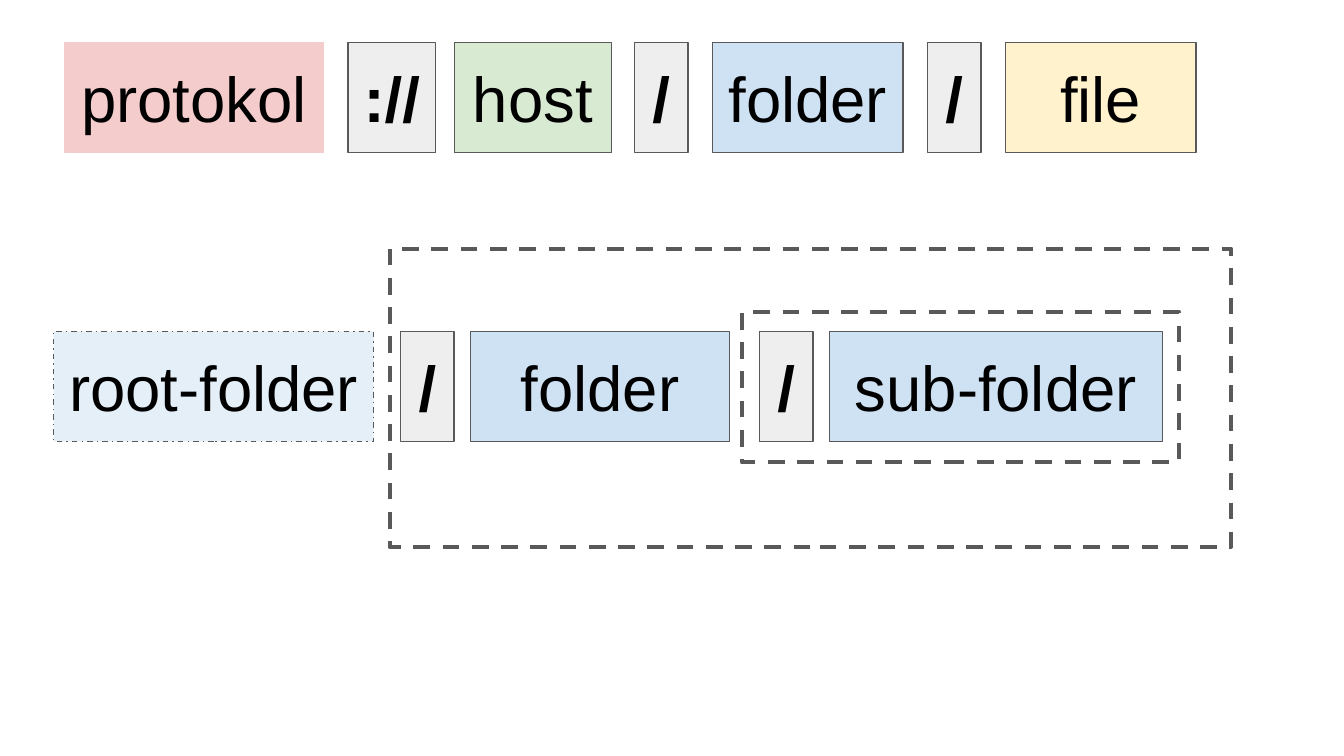
from pptx import Presentation, util as u
from pptx.dml.color import RGBColor
from pptx.enum import dml, shapes, text
from pptx.oxml import ns, xmlchemy

PINK = RGBColor(0xF4, 0xCC, 0xCC)
GREEN = RGBColor(0xD9, 0xEA, 0xD3)
BLUE = RGBColor(0xCF, 0xE2, 0xF3)
YELLOW = RGBColor(0xFF, 0xF2, 0xCC)
LIGHT = RGBColor(0xEE, 0xEE, 0xEE)
GREY = RGBColor(0x59, 0x59, 0x59)
BLACK = RGBColor(0, 0, 0)

# A 16:9 page
deck = Presentation()
deck.slide_width = u.Inches(10)
deck.slide_height = deck.slide_width * 9 // 16
page = deck.slides.add_slide(deck.slide_layouts[6])
unit = deck.slide_width / 100  # grid of 100 columns, with square cells
PART_HEIGHT = 8.2


def add_box(left, top, width, height, line_width, dash=None):
    box = page.shapes.add_shape(
        shapes.MSO_SHAPE.RECTANGLE,
        *(round(cells * unit) for cells in (left, top, width, height)))
    box.shadow.inherit = False
    box.fill.background()
    box.line.color.rgb = GREY
    box.line.width = u.Pt(line_width)
    if dash:
        box.line.dash_style = dash
    return box


def add_part(label, left, top, width, color, dash=None):
    box = add_box(left, top, width, PART_HEIGHT, 0.75, dash)
    box.fill.solid()
    box.fill.fore_color.rgb = color
    frame = box.text_frame
    frame.word_wrap = False
    frame.vertical_anchor = text.MSO_ANCHOR.MIDDLE
    frame.margin_left = frame.margin_right = u.Inches(0.1)
    frame.margin_top = frame.margin_bottom = u.Inches(0.1)
    para = frame.paragraphs[0]
    para.text = label
    para.alignment = text.PP_ALIGN.CENTER
    para.font.name = "Arial"
    para.font.size = u.Pt(34)
    para.font.bold = color == LIGHT  # separators are bold
    para.font.color.rgb = BLACK
    return box


# Dashed frame around the sub-folder
add_box(55.2, 23.2, 32.5, 11.2, 2.25, dml.MSO_LINE.DASH)

# Parts of the address
URL_TOP = 3.15
protocol = add_part("protokol", 4.8, URL_TOP, 19.3, PINK)
protocol.line.color.rgb = PINK
for label, left, width, color in [
    ("://", 25.9, 6.5, LIGHT),
    ("host", 33.8, 11.7, GREEN),
    ("/", 47.2, 4, LIGHT),
    ("folder", 53, 14.2, BLUE),
    ("/", 69, 4, LIGHT),
    ("file", 74.8, 14.2, YELLOW),
]:
    add_part(label, left, URL_TOP, width, color)

# Nested folders, starting with a half-transparent root
FOLDER_TOP = 24.65
root = add_part("root-folder", 4, FOLDER_TOP, 23.8, BLUE, dml.MSO_LINE.DASH_DOT)
root_color = root.element.spPr.find(ns.qn("a:solidFill"))[0]
alpha = xmlchemy.OxmlElement("a:alpha")
alpha.set("val", "55000")
root_color.append(alpha)
for label, left, width, color in [
    ("/", 29.8, 4, LIGHT),
    ("folder", 35, 19.3, BLUE),
    ("sub-folder", 61.7, 24.8, BLUE),
    ("/", 56.5, 4, LIGHT),
]:
    add_part(label, left, FOLDER_TOP, width, color)

# Dashed frame around everything below the root
add_box(29, 18.5, 62.6, 22.2, 2.25, dml.MSO_LINE.DASH)

deck.save("out.pptx")
